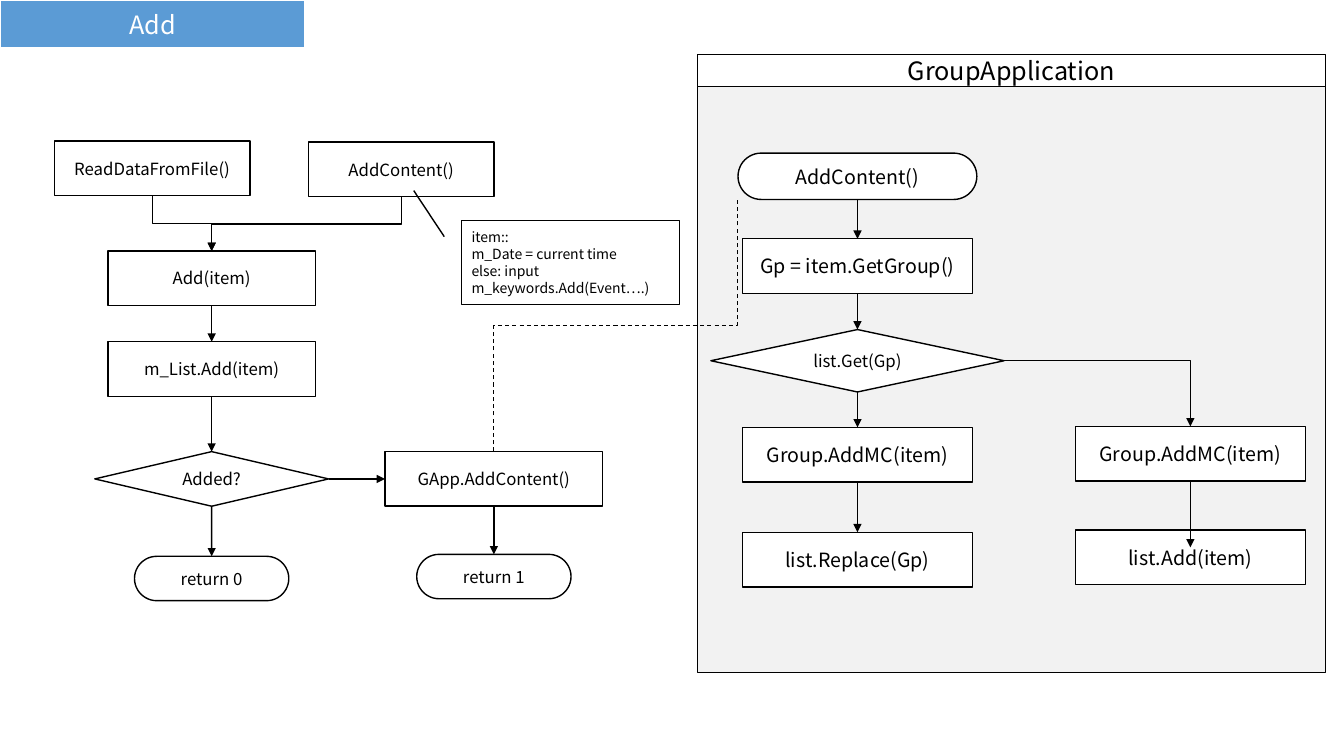
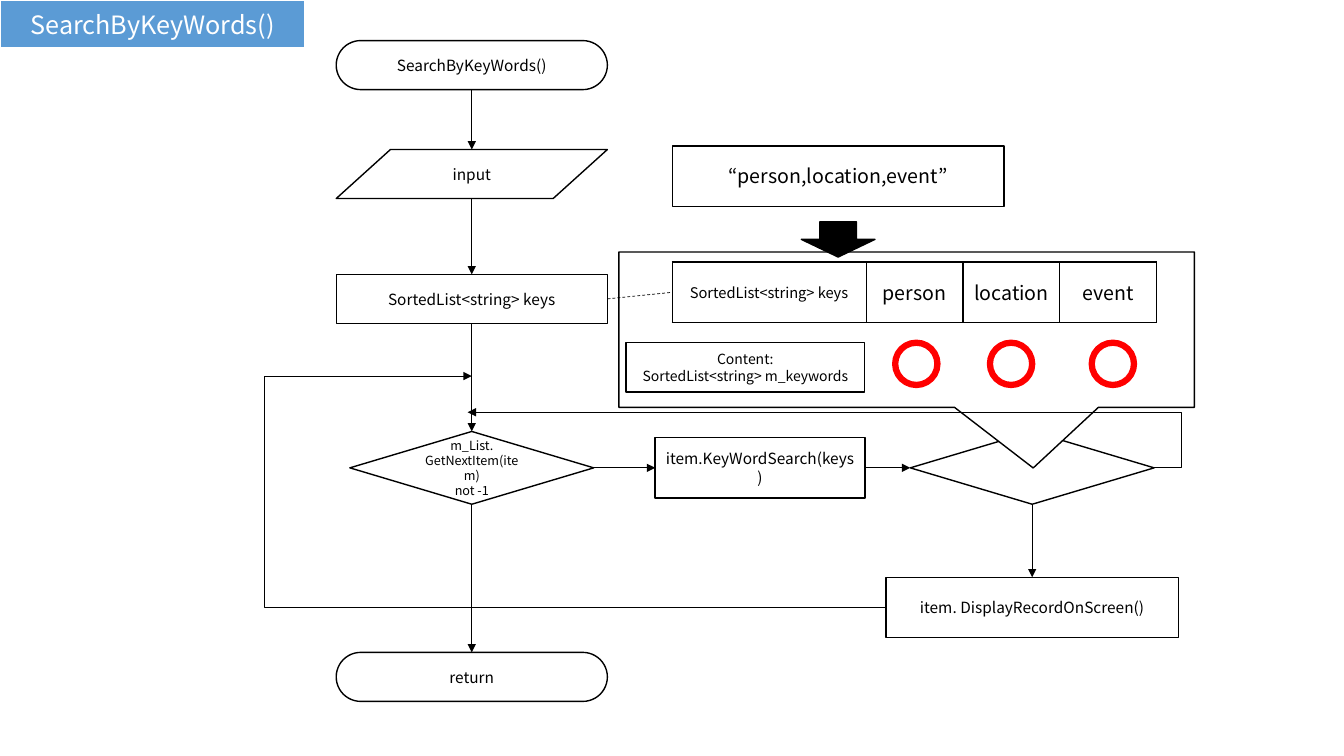
import dataclasses
import typing

import pptx
import pptx.dml.color
import pptx.enum.dml
import pptx.enum.shapes
import pptx.enum.text
import pptx.oxml.ns
import pptx.oxml.xmlchemy
import pptx.shapes.autoshape
import pptx.shapes.connector
import pptx.slide
import pptx.util
from lxml import etree

Pt = pptx.util.Pt
Preset = pptx.enum.shapes.MSO_SHAPE
Align = pptx.enum.text.PP_ALIGN
Link = pptx.enum.shapes.MSO_CONNECTOR
qn = pptx.oxml.ns.qn
Point = tuple[float, float]
TOP, LEFT, BOTTOM, RIGHT = range(4)


# Shared look
@dataclasses.dataclass(frozen=True)
class Theme:
    font: str = "Noto Sans CJK KR"
    ink: str = "000000"
    paper: str = "FFFFFF"
    panel: str = "F2F2F2"
    band: str = "5B9BD5"
    ring: str = "FF0000"
    heading: float = 18
    large: float = 14
    body: float = 12
    step: float = 11
    cell: float = 10.5
    note: float = 10
    small: float = 9
    outline: float = 1
    thin: float = 0.5


THEME = Theme()


@dataclasses.dataclass(frozen=True)
class Node:
    """A flowchart part, placed by its horizontal centre and its top."""
    center: float
    top: float
    width: float
    height: float
    text: str = ""
    size: float = THEME.body
    preset: typing.Any = Preset.RECTANGLE
    fill: str = THEME.paper
    line: str = THEME.ink
    weight: float = THEME.outline
    adjustments: tuple[float, ...] = ()
    align: typing.Any = Align.CENTER


class Flow(typing.NamedTuple):
    """A straight arrow glued to two named nodes."""
    source: str
    target: str
    weight: float = THEME.thin
    leave: int = BOTTOM
    enter: int = TOP


def rgb(value: str) -> pptx.dml.color.RGBColor:
    return pptx.dml.color.RGBColor.from_string(value)


def write(frame: typing.Any, text: str, size: float, color: str = THEME.ink,
          align: typing.Any = Align.CENTER) -> None:
    for index, line in enumerate(text.split("\n")):
        paragraph = frame.paragraphs[0] if index == 0 else frame.add_paragraph()
        paragraph.alignment = align
        run = paragraph.add_run()
        run.text = line
        run.font.name = THEME.font
        run.font.size = Pt(size)
        run.font.color.rgb = rgb(color)


def paint(shape: typing.Any, fill: str, line: str, weight: float) -> None:
    shape.fill.solid()
    shape.fill.fore_color.rgb = rgb(fill)
    shape.line.color.rgb = rgb(line)
    shape.line.width = Pt(weight)


def titled_slide(deck: typing.Any, text: str) -> pptx.slide.Slide:
    slide = deck.slides.add_slide(deck.slide_layouts[5])
    title = slide.shapes.title
    title.left, title.top, title.width, title.height = Pt(0), Pt(0), Pt(218.2), Pt(34.6)
    paint(title, THEME.band, THEME.paper, 1.5)
    frame = title.text_frame
    frame.word_wrap = True
    frame.auto_size = pptx.enum.text.MSO_AUTO_SIZE.NONE
    frame.vertical_anchor = pptx.enum.text.MSO_ANCHOR.MIDDLE
    write(frame, text, THEME.heading, THEME.paper)
    return slide


def draw_node(slide: pptx.slide.Slide, node: Node) -> pptx.shapes.autoshape.Shape:
    shape = slide.shapes.add_shape(
        node.preset, Pt(node.center - node.width / 2), Pt(node.top),
        Pt(node.width), Pt(node.height))
    shape.shadow.inherit = False
    paint(shape, node.fill, node.line, node.weight)
    for index, value in enumerate(node.adjustments):
        shape.adjustments[index] = value
    if node.text:
        shape.text_frame.word_wrap = True
        shape.text_frame.vertical_anchor = pptx.enum.text.MSO_ANCHOR.MIDDLE
        write(shape.text_frame, node.text, node.size, align=node.align)
    return shape


def draw_nodes(slide: pptx.slide.Slide, nodes: dict[str, Node]) -> dict[str, typing.Any]:
    return {name: draw_node(slide, node) for name, node in nodes.items()}


def connect(slide: pptx.slide.Slide, start: Point, end: Point,
            weight: float = THEME.thin, kind: typing.Any = Link.STRAIGHT,
            arrow: bool = True, dashed: bool = False) -> pptx.shapes.connector.Connector:
    connector = slide.shapes.add_connector(kind, *(Pt(value) for value in (*start, *end)))
    connector.line.color.rgb = rgb(THEME.ink)
    connector.line.width = Pt(weight)
    if dashed:
        connector.line.dash_style = pptx.enum.dml.MSO_LINE.DASH
    if arrow:
        etree.SubElement(connector.get_or_add_ln(), qn("a:tailEnd"), type="triangle")
    etree.SubElement(connector._element.spPr, qn("a:effectLst"))
    return connector


def draw_flows(slide: pptx.slide.Slide, shapes: dict[str, typing.Any],
               flows: list[Flow]) -> None:
    for flow in flows:
        connector = connect(slide, (0, 0), (0, 0), flow.weight)
        connector.begin_connect(shapes[flow.source], flow.leave)
        connector.end_connect(shapes[flow.target], flow.enter)


def elbow(slide: pptx.slide.Slide, start: Point, end: Point, bend: float = 0.5,
          upright: bool = False, corner: bool = False, **style: typing.Any) -> None:
    """Bend at a share of the way; upright leaves vertically, corner turns once."""
    if upright:
        # A quarter turn about the middle brings these ends to start and end.
        x, y = (start[0] + end[0]) / 2, (start[1] + end[1]) / 2
        dx, dy = (end[0] - start[0]) / 2, (end[1] - start[1]) / 2
        start, end = (x - dy, y + dx), (x + dy, y - dx)
    connector = connect(slide, start, end, kind=Link.ELBOW, **style)
    properties = connector._element.spPr
    if upright:
        properties.find(qn("a:xfrm")).set("rot", "5400000")
    geometry = properties.find(qn("a:prstGeom"))
    if corner:
        geometry.set("prst", "bentConnector2")
    elif bend != 0.5:
        guides = geometry.find(qn("a:avLst"))
        if guides is None:
            guides = etree.SubElement(geometry, qn("a:avLst"))
        etree.SubElement(guides, qn("a:gd"), name="adj1", fmla=f"val {round(bend * 100000)}")


def keyword_table(slide: pptx.slide.Slide) -> None:
    columns = [("SortedList<string> keys", 138.5, THEME.cell)]
    columns += [(word, 69.2, THEME.large) for word in ("person", "location", "event")]
    table = slide.shapes.add_table(
        1, len(columns), Pt(480.2), Pt(187.2),
        Pt(sum(width for _, width, _ in columns)), Pt(43.2)).table
    table.first_row = table.horz_banding = False
    for index, (text, width, size) in enumerate(columns):
        table.columns[index].width = Pt(width)
        cell = table.cell(0, index)
        cell.vertical_anchor = pptx.enum.text.MSO_ANCHOR.MIDDLE
        write(cell.text_frame, text, size)
        properties = cell._tc.get_or_add_tcPr()
        for side in ("a:lnL", "a:lnR", "a:lnT", "a:lnB"):
            border = etree.SubElement(properties, qn(side), w=str(Pt(THEME.outline)))
            ink = etree.SubElement(border, qn("a:solidFill"))
            etree.SubElement(ink, qn("a:srgbClr"), val=THEME.ink)
        cell.fill.solid()
        cell.fill.fore_color.rgb = rgb(THEME.paper)


def add_slide(deck: typing.Any) -> None:
    slide = titled_slide(deck, "Add")
    item_x, app_x, group_x, new_x, panel_x = 151.2, 352.8, 612.5, 850.3, 722.5
    box = 39

    def round_end(center: float, top: float, text: str, width: float = 110.2,
                  height: float = 31.7, size: float = THEME.body) -> Node:
        return Node(center, top, width, height, text, size,
                    Preset.ROUNDED_RECTANGLE, adjustments=(0.5,))

    def group_step(center: float, top: float, text: str) -> Node:
        return Node(center, top, 164.2, box, text, THEME.large)

    shapes = draw_nodes(slide, {
        # Adding an item
        "panel": Node(panel_x, 59, 448.6, 421.2, fill=THEME.panel),
        "read": Node(108.7, 100.8, 139.7, box, "ReadDataFromFile()"),
        "content": Node(286.6, 101.5, 132.5, box, "AddContent()"),
        "add": Node(item_x, 179.3, 148.3, box, "Add(item)"),
        "list": Node(item_x, 244.1, 148.3, box, "m_List.Add(item)"),
        "added": Node(item_x, 322.6, 167, box, "Added?", preset=Preset.DIAMOND),
        "app": Node(app_x, 322.6, 155.5, box, "GApp.AddContent()"),
        "return 0": round_end(item_x, 397.4, "return 0"),
        "return 1": round_end(app_x, 396, "return 1"),
        # Group application
        "header": Node(panel_x, 38.9, 448.6, 23, "GroupApplication", THEME.heading),
        "start": round_end(group_x, 109.4, "AddContent()", 170.6, 33.1, THEME.large),
        "group": group_step(group_x, 170.6, "Gp = item.GetGroup()"),
        "found": Node(group_x, 235.4, 209.5, 44.6, "list.Get(Gp)", preset=Preset.DIAMOND),
        "update": group_step(group_x, 305.3, "Group.AddMC(item)"),
        "replace": group_step(group_x, 380.2, "list.Replace(Gp)"),
        "create": group_step(new_x, 304.6, "Group.AddMC(item)"),
        "insert": group_step(new_x, 378.7, "list.Add(item)"),
        # Note on the item's fields
        "fields": Node(407.5, 157.7, 155.5, 59.8,
                       "item::\nm_Date = current time\nelse: input\nm_keywords.Add(Event….)",
                       THEME.note, Preset.LINE_CALLOUT_1, align=Align.LEFT,
                       adjustments=(0.19, -0.08, -0.36, -0.22)),
    })
    draw_flows(slide, shapes, [
        Flow("add", "list", THEME.outline),
        Flow("list", "added", THEME.outline),
        Flow("added", "app", THEME.outline, RIGHT, LEFT),
        Flow("added", "return 0", THEME.outline),
        Flow("app", "return 1", THEME.outline),
        Flow("start", "group"),
        Flow("group", "found"),
        Flow("found", "update"),
        Flow("update", "replace"),
    ])
    connect(slide, (new_x, 343.6), (new_x, 391))
    elbow(slide, (286.6, 140.5), (item_x, 179.3), upright=True, weight=THEME.outline)
    elbow(slide, (108.7, 139.8), (item_x, 179.3), upright=True)
    elbow(slide, (717.2, 257.7), (new_x, 304.6), corner=True)
    elbow(slide, (app_x, 322.6), (526.6, 142.5), upright=True, weight=0.75,
          arrow=False, dashed=True)


def search_slide(deck: typing.Any) -> None:
    slide = titled_slide(deck, "SearchByKeyWords()")
    main_x, match_x, words_x = 337, 737.3, 598.7
    row = 43.2

    def main_step(top: float, text: str, preset: typing.Any = Preset.ROUNDED_RECTANGLE) -> Node:
        rounded = (0.5,) if preset == Preset.ROUNDED_RECTANGLE else ()
        return Node(main_x, top, 193.7, 35, text, THEME.step, preset, adjustments=rounded)

    def decision(center: float, text: str = "") -> Node:
        return Node(center, 308.2, 174.2, 52, text, THEME.small, Preset.FLOWCHART_DECISION)

    shapes = draw_nodes(slide, {
        # Search loop
        "match": decision(match_x),
        "example": Node(647.6, 180, 411, 111, preset=Preset.RECTANGULAR_CALLOUT,
                        adjustments=(0.22, 0.89)),
        "keys": main_step(196, "SortedList<string> keys", Preset.RECTANGLE),
        "start": main_step(29, "SearchByKeyWords()"),
        "input": main_step(106.8, "input", Preset.FLOWCHART_DATA),
        "next": decision(main_x, "m_List.\nGetNextItem(item)\nnot -1"),
        "search": Node(542.9, 312.6, 149.8, row, "item.KeyWordSearch(keys)", THEME.step),
        "display": Node(match_x, 412.4, 208.8, row, "item. DisplayRecordOnScreen()", THEME.step),
        "return": main_step(466, "return"),
        # Keyword example
        "words": Node(words_x, 104.2, 237, row, "“person,location,event”", THEME.large),
        "split": Node(words_x, 158.4, 52.6, 25.2, preset=Preset.DOWN_ARROW, fill=THEME.ink),
        "stored": Node(532.4, 244.8, 170.6, 35.3,
                       "Content:\nSortedList<string> m_keywords", THEME.note),
    })
    keyword_table(slide)
    for center in (654.5, 722.2, 794.9):
        draw_node(slide, Node(center, 244.8, 30.2, 30.2, preset=Preset.OVAL,
                              line=THEME.ring, weight=4.5))
    draw_flows(slide, shapes, [
        Flow("keys", "next"),
        Flow("next", "return"),
        Flow("next", "search", leave=RIGHT, enter=LEFT),
        Flow("search", "match", leave=RIGHT, enter=LEFT),
        Flow("match", "display"),
    ])
    connect(slide, (main_x, 64), (main_x, 106.8))
    connect(slide, (main_x, 141.8), (main_x, 196))
    connect(slide, (433.9, 213.5), (480.2, 208.8), arrow=False, dashed=True)
    # Returns to the loop
    elbow(slide, (632.9, 434), (main_x, 268.6), bend=1.5)
    elbow(slide, (824.4, 334.2), (334.1, 294.5), bend=-0.04)


def main() -> None:
    deck = pptx.Presentation()
    deck.slide_width, deck.slide_height = Pt(960), Pt(540)
    add_slide(deck)
    search_slide(deck)
    deck.save("out.pptx")


if __name__ == "__main__":
    main()
